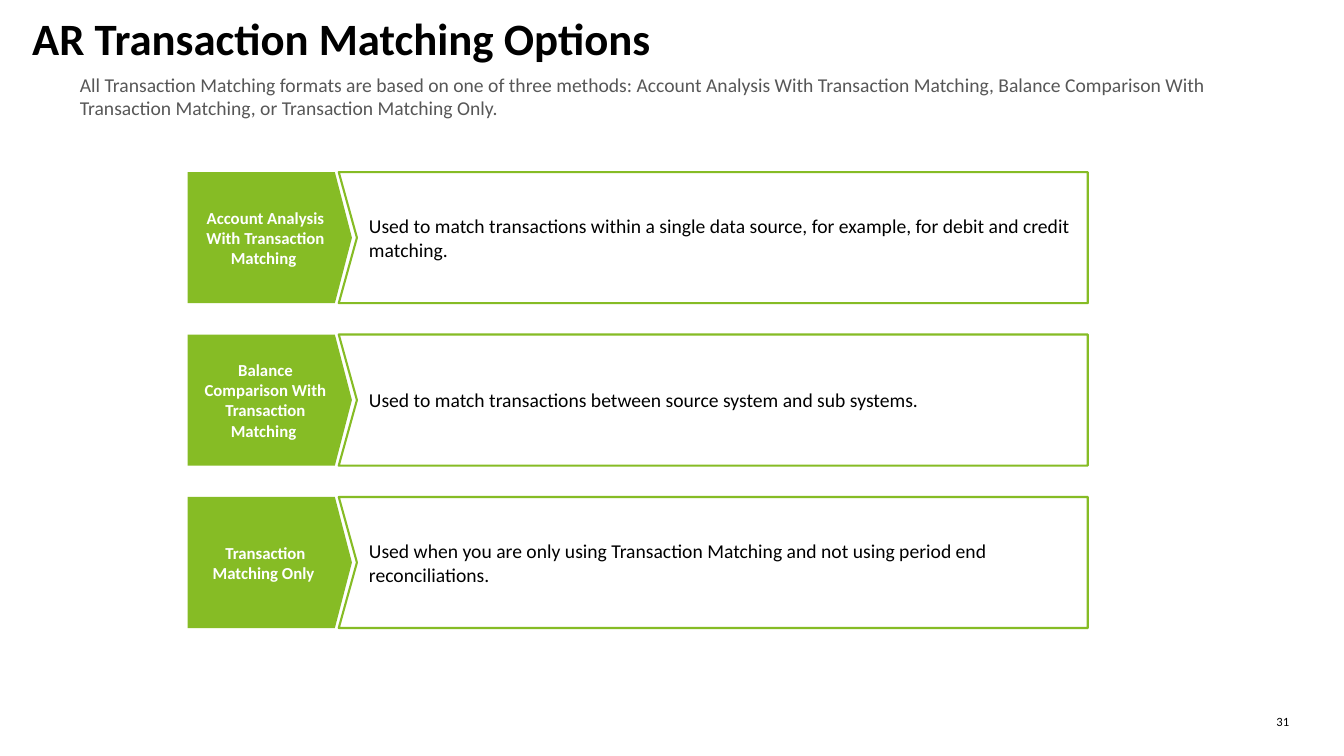
"""Build the slide on options for matching receivables transactions."""
from pptx import Presentation
from pptx.dml.color import RGBColor
from pptx.enum.shapes import MSO_SHAPE as SHAPE
from pptx.enum.text import MSO_ANCHOR as ANCHOR, MSO_AUTO_SIZE as FIT, PP_ALIGN as ALIGN
from pptx.util import Pt

GREEN = RGBColor(0x86, 0xBC, 0x25)
GRAY = RGBColor(0x57, 0x57, 0x57)
BLACK = RGBColor(0, 0, 0)
WHITE = RGBColor(0xFF, 0xFF, 0xFF)

OPTIONS = [
    ("Account Analysis With Transaction Matching ",
     "Used to match transactions within a single data source, for example, "
     "for debit and credit matching."),
    ("Balance Comparison With Transaction Matching ",
     "Used to match transactions between source system and sub systems."),
    ("Transaction Matching Only ",
     "Used when you are only using Transaction Matching and not using "
     "period end reconciliations."),
]
TOP, HEIGHT, PITCH = 123, 93.6, 116
TAG_LEFT, TAG_WIDTH = 134, 117.4
BOX_LEFT, BOX_RIGHT, NOTCH = 242, 777, 13
PAD = 7.2


class Deck:
    """Hold the style and the current slide."""

    font = "Calibri"

    def __init__(self, prs):
        self.s = prs.slides.add_slide(prs.slide_layouts[5])

    def set_text(self, sp, text, size, color, bold=False, align=ALIGN.LEFT,
                 anchor=ANCHOR.TOP, insets=(0, 0, 0, 0)):
        tf = sp.text_frame
        left, top, right, bottom = (Pt(v) for v in insets)
        frame = {"word_wrap": True, "auto_size": FIT.NONE, "vertical_anchor": anchor,
                 "margin_left": left, "margin_top": top,
                 "margin_right": right, "margin_bottom": bottom}
        for name, value in frame.items():
            setattr(tf, name, value)
        p = tf.paragraphs[0]
        p.alignment = align
        r = p.add_run()
        r.text = text
        for name, value in {"name": self.font, "size": Pt(size), "bold": bold}.items():
            setattr(r.font, name, value)
        r.font.color.rgb = color

    def title(self, text, left, top, width, height):
        sp = self.s.shapes.title
        box = {"left": left, "top": top, "width": width, "height": height}
        for name, value in box.items():
            setattr(sp, name, Pt(value))
        self.set_text(sp, text, 32, BLACK, bold=True)

    def text(self, text, left, top, width, height, size, color, align=ALIGN.LEFT):
        sp = self.s.shapes.add_textbox(Pt(left), Pt(top), Pt(width), Pt(height))
        self.set_text(sp, text, size, color, align=align)

    def tag(self, text, top):
        sp = self.s.shapes.add_shape(SHAPE.PENTAGON, Pt(TAG_LEFT), Pt(top),
                                     Pt(TAG_WIDTH), Pt(HEIGHT))
        sp.adjustments[0] = 0.13
        sp.shadow.inherit = False
        sp.fill.solid()
        sp.fill.fore_color.rgb = GREEN
        sp.line.fill.background()
        self.set_text(sp, text, 12, WHITE, bold=True, align=ALIGN.CENTER,
                      anchor=ANCHOR.MIDDLE, insets=(PAD, PAD, PAD, PAD))

    def notched_box(self, text, top):
        bottom = top + HEIGHT
        corners = [(BOX_LEFT, top), (BOX_LEFT + NOTCH, top + HEIGHT / 2),
                   (BOX_LEFT, bottom), (BOX_RIGHT, bottom)]
        fb = self.s.shapes.build_freeform(Pt(BOX_RIGHT), Pt(top))
        fb.add_line_segments([(Pt(x), Pt(y)) for x, y in corners], close=True)
        sp = fb.convert_to_shape()
        sp.shadow.inherit = False
        sp.fill.solid()
        sp.fill.fore_color.rgb = WHITE
        sp.line.color.rgb = GREEN
        sp.line.width = Pt(1.5)
        self.set_text(sp, text, 14, BLACK, anchor=ANCHOR.MIDDLE,
                      insets=(3 * PAD, PAD, PAD, PAD))


def main():
    prs = Presentation()
    prs.slide_width, prs.slide_height = Pt(960), Pt(540)
    deck = Deck(prs)
    deck.title("AR Transaction Matching Options", 23, 8, 816, 47)
    deck.text("All Transaction Matching formats are based on one of three methods: "
              "Account Analysis With Transaction Matching, Balance Comparison With "
              "Transaction Matching, or Transaction Matching Only.",
              57, 52, 816, 37, 14, GRAY)
    for i, (name, use) in enumerate(OPTIONS):
        top = TOP + i * PITCH
        deck.tag(name, top)
        deck.notched_box(use, top)
    deck.text("31", 896.4, 510, 24.5, 11, 9, BLACK, ALIGN.RIGHT)
    prs.save("out.pptx")


if __name__ == "__main__":
    main()
